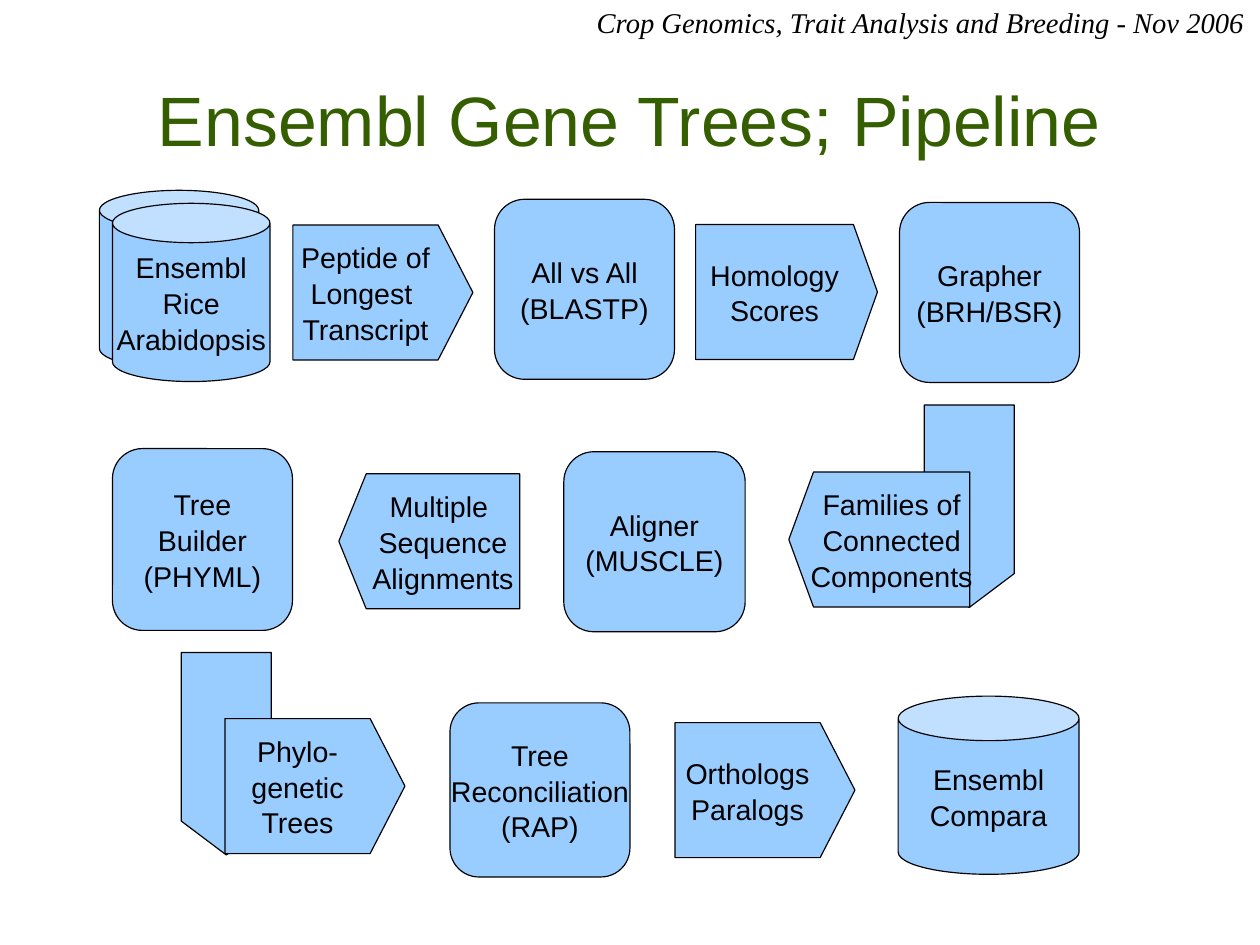
from pptx import Presentation, util as u
from pptx.dml.color import RGBColor
from pptx.enum import shapes, text

COLUMNS, ROWS = 28, 21
CELL = u.Cm(1)  # square grid cell

BLACK = RGBColor(0x00, 0x00, 0x00)
SKY = RGBColor(0x99, 0xCC, 0xFF)
GREEN = RGBColor(0x35, 0x5E, 0x00)

Kind = shapes.MSO_SHAPE

# Data flowing between steps: direction, column, row, width, head depth, label
ARROWS = [
    (Kind.RIGHT_ARROW, 6.51, 5, 4, 0.258, "Peptide of\nLongest \nTranscript"),
    (Kind.RIGHT_ARROW, 15.46, 4.99, 4.04, 0.178, "Homology\nScores"),
    (Kind.LEFT_ARROW, 17.53, 10.49, 4.02, 0.183, "Families of\nConnected\nComponents"),
    (Kind.LEFT_ARROW, 7.53, 10.53, 4.02, 0.203, "Multiple \nSequence\nAlignments"),
    (Kind.RIGHT_ARROW, 5, 15.97, 4, 0.258, "Phylo-\ngenetic\vTrees"),
    (Kind.RIGHT_ARROW, 15, 16.06, 4, 0.258, "Orthologs\nParalogs"),
]

# Processing steps: column, row, width, height, label
STEPS = [
    (10.99, 4.43, 4, 4, "All vs All\n(BLASTP)"),
    (19.99, 4.5, 4, 4, "Grapher\n(BRH/BSR)"),
    (12.53, 10.04, 4.03, 4, "Aligner\n(MUSCLE)"),
    (2.5, 9.97, 4, 4.04, "Tree\nBuilder\n(PHYML)"),
    (10, 15.62, 4, 3.87, "Tree\nReconciliation\n(RAP)"),
]

# Databases: column, row, width, label
DATABASES = [
    (2.21, 4.23, 3.54, ""),
    (2.5, 4.52, 3.5, "Ensembl\vRice\vArabidopsis"),
    (19.96, 15.47, 4.02, "Ensembl\vCompara"),
]

# Turns from one row of the pipeline to the next: column, row
TURNS = [(4.03, 14.5), (20.54, 9)]


def grid(*cells):
    return [round(cell * CELL) for cell in cells]


def set_text(frame, words, size, color, font="Arial", spacing=1.04,
             align=text.PP_ALIGN.CENTER, italic=False):
    frame.text = words
    for paragraph in frame.paragraphs:
        paragraph.alignment = align
        paragraph.line_spacing = spacing
        for run in paragraph.runs:
            run.font.name = font
            run.font.size = u.Pt(size)
            run.font.italic = italic
            run.font.color.rgb = color


def clear_margins(frame):
    frame.margin_left = frame.margin_right = 0
    frame.margin_top = frame.margin_bottom = 0


def add_block(slide, kind, column, row, width, height, label="", adjustments=()):
    """Add one blue pipeline element, placed in grid cells."""
    block = slide.shapes.add_shape(kind, *grid(column, row, width, height))
    for index, value in enumerate(adjustments):
        block.adjustments[index] = value
    block.shadow.inherit = False
    block.fill.solid()
    block.fill.fore_color.rgb = SKY
    block.line.color.rgb = BLACK
    block.line.width = u.Pt(0.75)
    if label:
        frame = block.text_frame
        frame.word_wrap = False
        frame.vertical_anchor = text.MSO_ANCHOR.MIDDLE
        set_text(frame, label, 18, BLACK)


def add_event_header(slide):
    header = slide.shapes.add_textbox(*grid(13.26, 0.1, 14.48, 0.79))
    frame = header.text_frame
    clear_margins(frame)
    frame.word_wrap = False
    set_text(frame, "Crop Genomics, Trait Analysis and Breeding - Nov 2006", 18,
             BLACK, "Times New Roman", 1.02, text.PP_ALIGN.LEFT, italic=True)


def format_title(slide):
    title = slide.shapes.title
    title.left, title.top, title.width, title.height = grid(1.4, 0.84, 25.2, 3.5)
    frame = title.text_frame
    clear_margins(frame)
    frame.vertical_anchor = text.MSO_ANCHOR.MIDDLE
    set_text(frame, "Ensembl Gene Trees; Pipeline", 44, GREEN)


def main():
    deck = Presentation()
    deck.slide_width, deck.slide_height = grid(COLUMNS, ROWS)
    slide = deck.slides.add_slide(deck.slide_layouts.get_by_name("Title Only"))

    add_event_header(slide)
    format_title(slide)
    for column, row in TURNS:
        add_block(slide, Kind.DOWN_ARROW, column, row, 2, 4.5, adjustments=(1, 0.376))
    for kind, column, row, width, head, label in ARROWS:
        add_block(slide, kind, column, row, width, 3, label, (1, head))
    for step in STEPS:
        add_block(slide, Kind.ROUNDED_RECTANGLE, *step)
    for column, row, width, label in DATABASES:
        add_block(slide, Kind.CAN, column, row, width, 3.96, label)

    deck.save("out.pptx")


if __name__ == "__main__":
    main()
